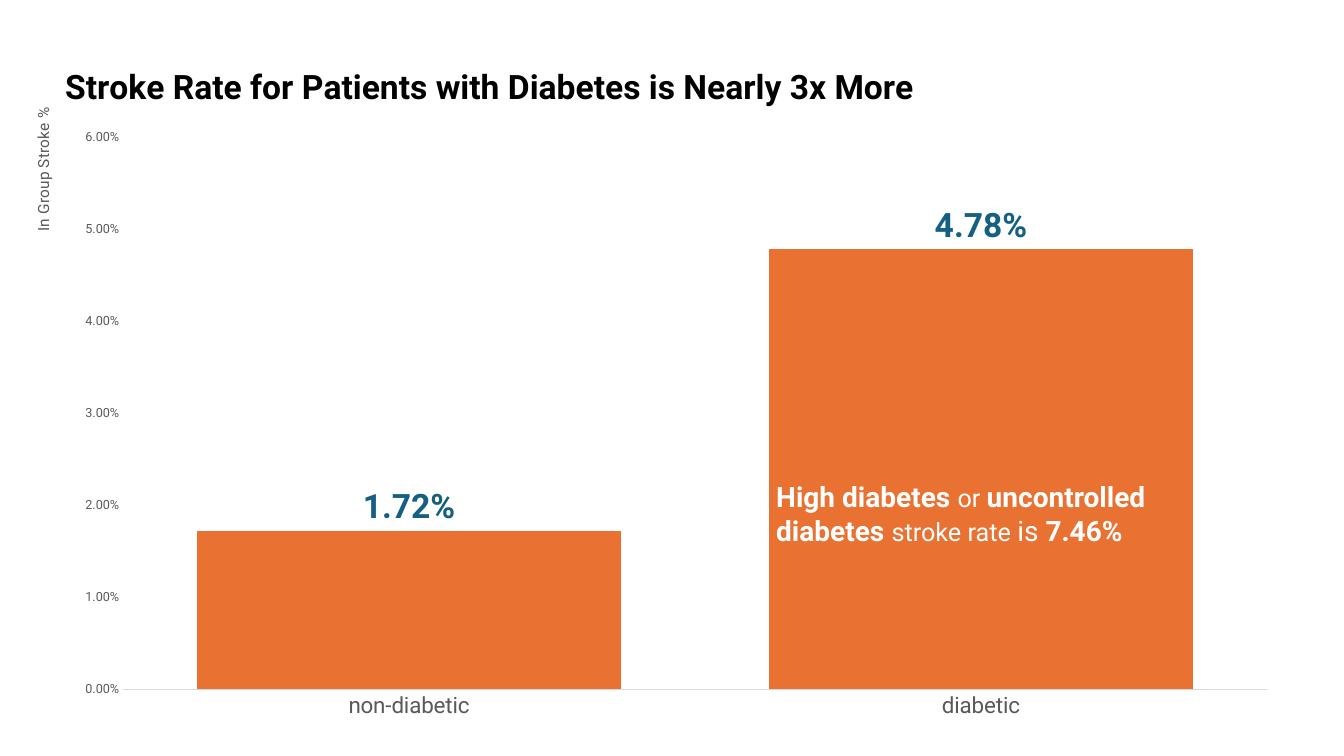
import pptx
import pptx.chart.data
import pptx.dml.color
import pptx.enum.chart
import pptx.enum.text
import pptx.oxml
import pptx.oxml.ns
import pptx.util
from pptx.util import Inches

FONT = "Roboto"
ORANGE, TEAL, GRAY = "E97132", "156082", "595959"
BLACK, WHITE, PALE_GRAY = "000000", "FFFFFF", "D9D9D9"
PERCENT = "0.00%"


def color(hex_string):
    return pptx.dml.color.RGBColor.from_string(hex_string)


def style_font(font, size, hex_string, bold=False):
    font.name = FONT
    font.size = pptx.util.Pt(size)
    font.bold = bold
    font.color.rgb = color(hex_string)


def add_run(paragraph, text, size, hex_string, bold=False):
    run = paragraph.add_run()
    run.text = text
    style_font(run.font, size, hex_string, bold)


def place(element, inner=False, **fractions):
    """Place a chart part at fractions (x, y, w, h) of the chart's size."""
    qn = pptx.oxml.ns.qn
    layout = element.find(qn("c:layout"))
    if layout is None:
        layout = pptx.oxml.parse_xml(f"<c:layout {pptx.oxml.ns.nsdecls('c')}/>")
        tx = element.find(qn("c:tx"))
        element.insert(0 if tx is None else element.index(tx) + 1, layout)
    settings = [("layoutTarget", "inner")] if inner else []
    settings += [("xMode", "edge"), ("yMode", "edge"), *fractions.items()]
    children = "".join(f'<c:{tag} val="{value}"/>' for tag, value in settings)
    for child in list(layout):
        layout.remove(child)
    layout.append(pptx.oxml.parse_xml(
        f"<c:manualLayout {pptx.oxml.ns.nsdecls('c')}>{children}</c:manualLayout>"))


def add_title(title, text, size, hex_string, x, y, bold=False):
    add_run(title.text_frame.paragraphs[0], text, size, hex_string, bold)
    place(title.element, x=x, y=y)


def style_axis(axis, size):
    axis.has_major_gridlines = False
    axis.major_tick_mark = pptx.enum.chart.XL_TICK_MARK.NONE
    axis.minor_tick_mark = pptx.enum.chart.XL_TICK_MARK.NONE
    style_font(axis.tick_labels.font, size, GRAY)


def add_stroke_chart(slide):
    data = pptx.chart.data.CategoryChartData(number_format=PERCENT)
    data.categories = ["non-diabetic", "diabetic"]
    data.add_series("Series 1", [0.0172, 0.0478])
    chart = slide.shapes.add_chart(
        pptx.enum.chart.XL_CHART_TYPE.COLUMN_CLUSTERED,
        Inches(0.13), Inches(0.37), Inches(12.69), Inches(6.89), data).chart
    style_font(chart.font, 10, BLACK)
    chart.has_legend = False
    add_title(chart.chart_title, "Stroke Rate for Patients with Diabetes is Nearly 3x More",
              24, BLACK, 0.036, 0.03, bold=True)
    plot_area = chart.element.find(".//" + pptx.oxml.ns.qn("c:plotArea"))
    place(plot_area, inner=True, x=0.086, y=0.144, w=0.894, h=0.795)

    # Axes
    category_axis, value_axis = chart.category_axis, chart.value_axis
    style_axis(category_axis, 16)
    category_axis.format.line.color.rgb = color(PALE_GRAY)
    category_axis.format.line.width = pptx.util.Pt(0.75)
    style_axis(value_axis, 9)
    value_axis.format.line.fill.background()
    value_axis.minimum_scale, value_axis.maximum_scale = 0, 0.06
    value_axis.major_unit = 0.01
    value_axis.tick_labels.number_format = PERCENT
    value_axis.tick_labels.number_format_is_linked = False
    add_title(value_axis.axis_title, "In Group Stroke %", 11, GRAY, 0.013, 0.097)

    # Columns and their labels
    plot = chart.plots[0]
    plot.vary_by_categories = False
    plot.gap_width, plot.overlap = 35, -27
    series = plot.series[0]
    series.format.fill.solid()
    series.format.fill.fore_color.rgb = color(ORANGE)
    labels = series.data_labels
    labels.show_value = True
    labels.position = pptx.enum.chart.XL_LABEL_POSITION.OUTSIDE_END
    labels.number_format = PERCENT
    labels.number_format_is_linked = False
    style_font(labels.font, 24, TEAL, bold=True)


def add_callout(slide, runs):
    box = slide.shapes.add_textbox(Inches(7.6), Inches(4.71), Inches(4.42), Inches(0.77))
    frame = box.text_frame
    frame.word_wrap = True
    frame.auto_size = pptx.enum.text.MSO_AUTO_SIZE.SHAPE_TO_FIT_TEXT
    for text, size, bold in runs:
        add_run(frame.paragraphs[0], text, size, WHITE, bold)


def main():
    presentation = pptx.Presentation()
    presentation.slide_width = Inches(13.33)
    presentation.slide_height = Inches(7.5)
    slide = presentation.slides.add_slide(presentation.slide_layouts[6])
    add_stroke_chart(slide)
    add_callout(slide, [
        ("High diabetes ", 20, True),
        ("or ", 18, False),
        ("uncontrolled diabetes ", 20, True),
        ("stroke rate ", 18, False),
        ("is ", 20, False),
        ("7.46%", 20, True),
    ])
    presentation.save("out.pptx")


if __name__ == "__main__":
    main()
